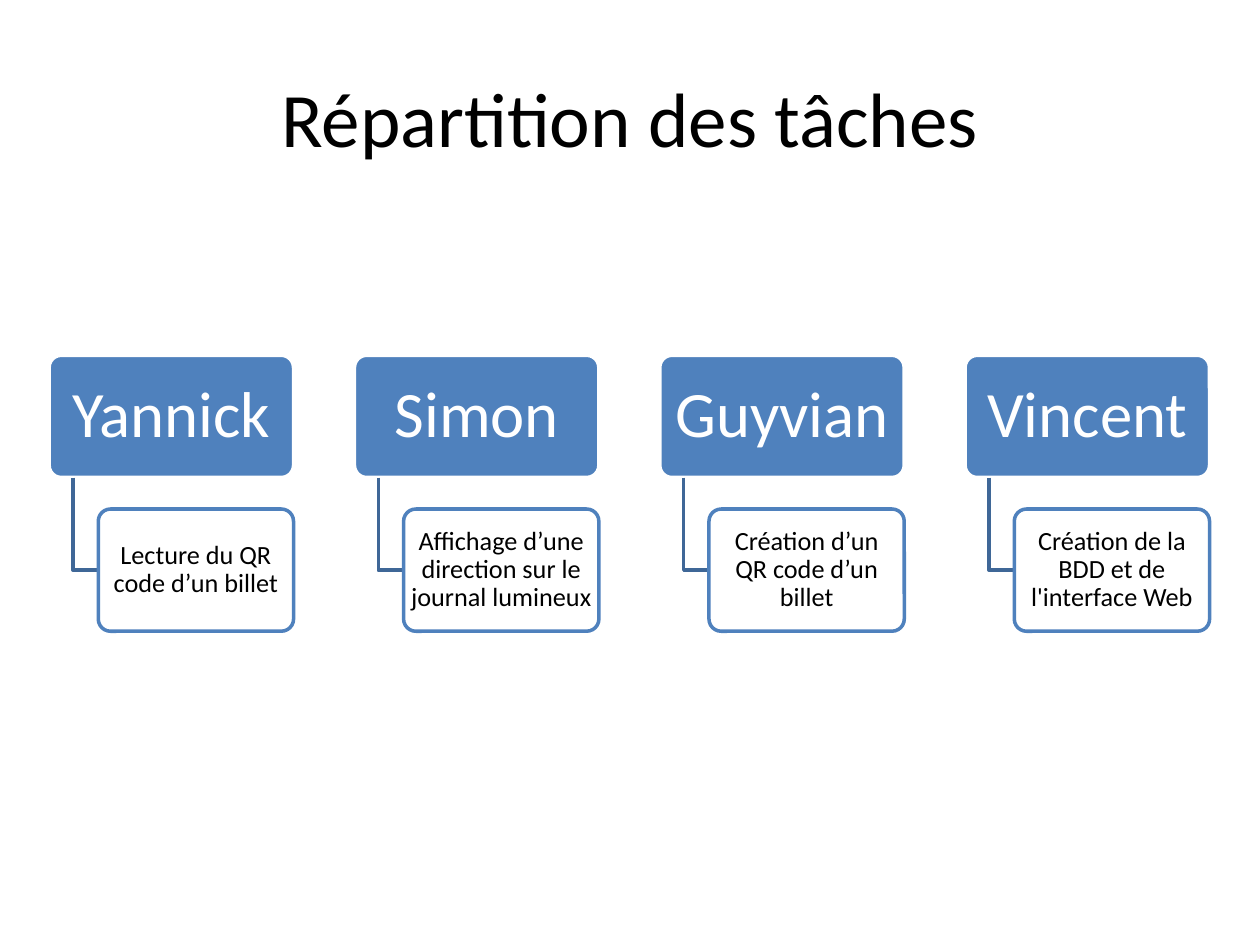
from lxml import etree
from pptx import Presentation
from pptx.dml.color import RGBColor
from pptx.enum.shapes import MSO_SHAPE
from pptx.enum.text import MSO_ANCHOR, PP_ALIGN
from pptx.oxml.ns import qn
from pptx.util import Inches, Pt

ROUNDED = MSO_SHAPE.ROUNDED_RECTANGLE
MIDDLE = MSO_ANCHOR.MIDDLE
CENTER = PP_ALIGN.CENTER

FONT = "Calibri"
BLUE = "4F81BD"
DARK_BLUE = "3F6797"
WHITE = "FFFFFF"
BLACK = "000000"

TASKS = [
    ("Yannick", "Lecture du QR code d’un billet"),
    ("Simon", "Affichage d’une direction sur le journal lumineux"),
    ("Guyvian", "Création d’un QR code d’un billet"),
    ("Vincent", "Création de la BDD et de l'interface Web"),
]
CHART_LEFT, CHART_TOP, CHART_WIDTH = 0.39, 2.82, 9.21
CARD_WIDTH, CARD_HEIGHT = 1.94, 0.97
TASK_INDENT, TASK_DROP = 0.39, 1.22
BRANCH_INDENT = 0.19


def color(hex_value):
    """Turn a hex string into a colour."""
    return RGBColor.from_string(hex_value)


def style_text(text_frame, text, size, text_color):
    """Write one centred paragraph and format its run."""
    text_frame.text = text
    text_frame.word_wrap = True
    text_frame.vertical_anchor = MIDDLE
    paragraph = text_frame.paragraphs[0]
    paragraph.alignment = CENTER
    font = paragraph.runs[0].font
    font.name = FONT
    font.size = Pt(size)
    font.color.rgb = color(text_color)


def style_outline(shape, line_color):
    """Give a shape a flat two-point outline."""
    shape.shadow.inherit = False
    shape.line.color.rgb = color(line_color)
    shape.line.width = Pt(2)


def add_title(slide, text, left, top, width, height):
    """Place the title placeholder in the given box."""
    title = slide.shapes.title
    title.left, title.top = Inches(left), Inches(top)
    title.width, title.height = Inches(width), Inches(height)
    style_text(title.text_frame, text, 44, BLACK)


def add_card(slide, text, left, top, width, height, fill, line, size, text_color, insets):
    """Add a rounded card with centred text and return it."""
    card = slide.shapes.add_shape(
        ROUNDED, Inches(left), Inches(top), Inches(width), Inches(height))
    card.adjustments[0] = 0.1
    card.fill.solid()
    card.fill.fore_color.rgb = color(fill)
    style_outline(card, line)
    text_frame = card.text_frame
    text_frame.margin_left = text_frame.margin_right = Inches(insets[0])
    text_frame.margin_top = text_frame.margin_bottom = Inches(insets[1])
    style_text(text_frame, text, size, text_color)
    text_frame.paragraphs[0].line_spacing = 0.9
    return card


def set_opacity(shape, percent):
    """Make the solid fill of a shape partly transparent."""
    fill_color = shape.fill._xPr.find(qn("a:solidFill"))[0]
    etree.SubElement(fill_color, qn("a:alpha"), val=str(percent * 1000))


def add_branch(slide, left, top, width, height):
    """Draw an elbow down the left and along the bottom of the given box."""
    bottom = Inches(top + height)
    builder = slide.shapes.build_freeform(Inches(left), Inches(top))
    builder.add_line_segments(
        [(Inches(left), bottom), (Inches(left + width), bottom)], close=False)
    branch = builder.convert_to_shape()
    branch.fill.background()
    style_outline(branch, DARK_BLUE)


def add_member(slide, name, task, left, top):
    """Add a name card with its task hanging below."""
    add_card(slide, name, left, top, CARD_WIDTH, CARD_HEIGHT,
             BLUE, WHITE, 37, WHITE, (0.08, 0.05))
    add_branch(slide, left + BRANCH_INDENT, top + CARD_HEIGHT,
               TASK_INDENT - BRANCH_INDENT, TASK_DROP - CARD_HEIGHT / 2)
    task_card = add_card(slide, task, left + TASK_INDENT, top + TASK_DROP,
                         CARD_WIDTH - TASK_INDENT, CARD_HEIGHT,
                         WHITE, BLUE, 15, BLACK, (0.03, 0.02))
    set_opacity(task_card, 90)


def add_task_chart(slide, left, top, width):
    """Spread the members evenly across the given width."""
    step = (width - CARD_WIDTH) / (len(TASKS) - 1)
    for index, (name, task) in enumerate(TASKS):
        add_member(slide, name, task, left + index * step, top)


def main():
    """Build and save the slide."""
    presentation = Presentation()
    presentation.slide_width = Inches(10)
    presentation.slide_height = Inches(7.5)
    slide = presentation.slides.add_slide(presentation.slide_layouts[5])
    add_title(slide, "Répartition des tâches", 0.5, 0.3, 9, 1.25)
    add_task_chart(slide, CHART_LEFT, CHART_TOP, CHART_WIDTH)
    presentation.save("out.pptx")


if __name__ == "__main__":
    main()
